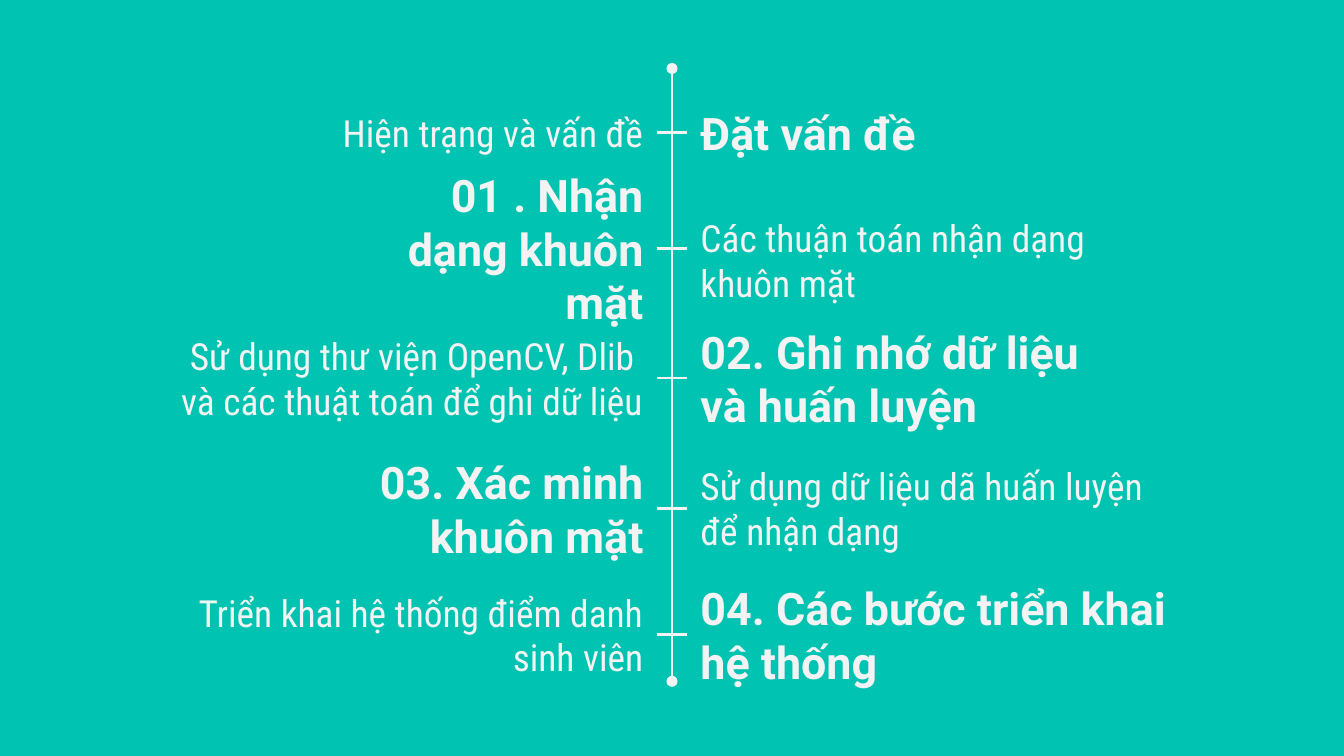
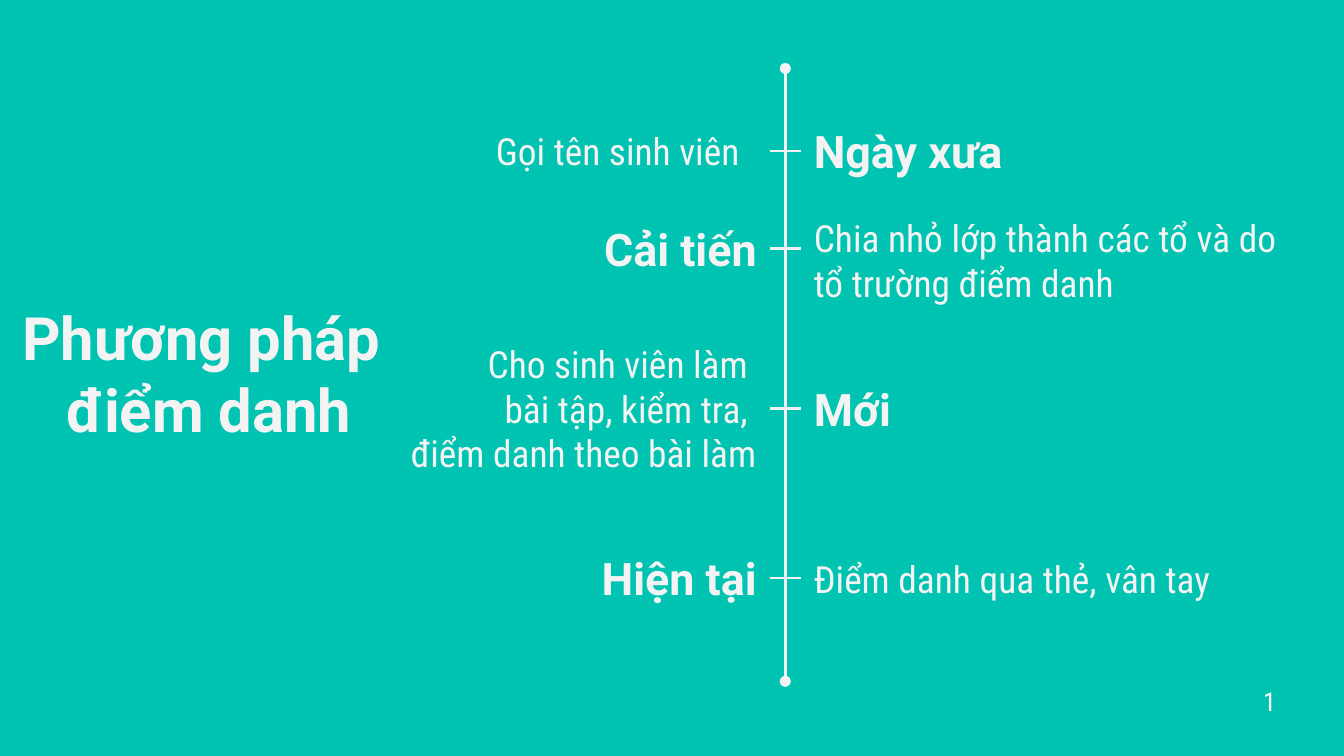
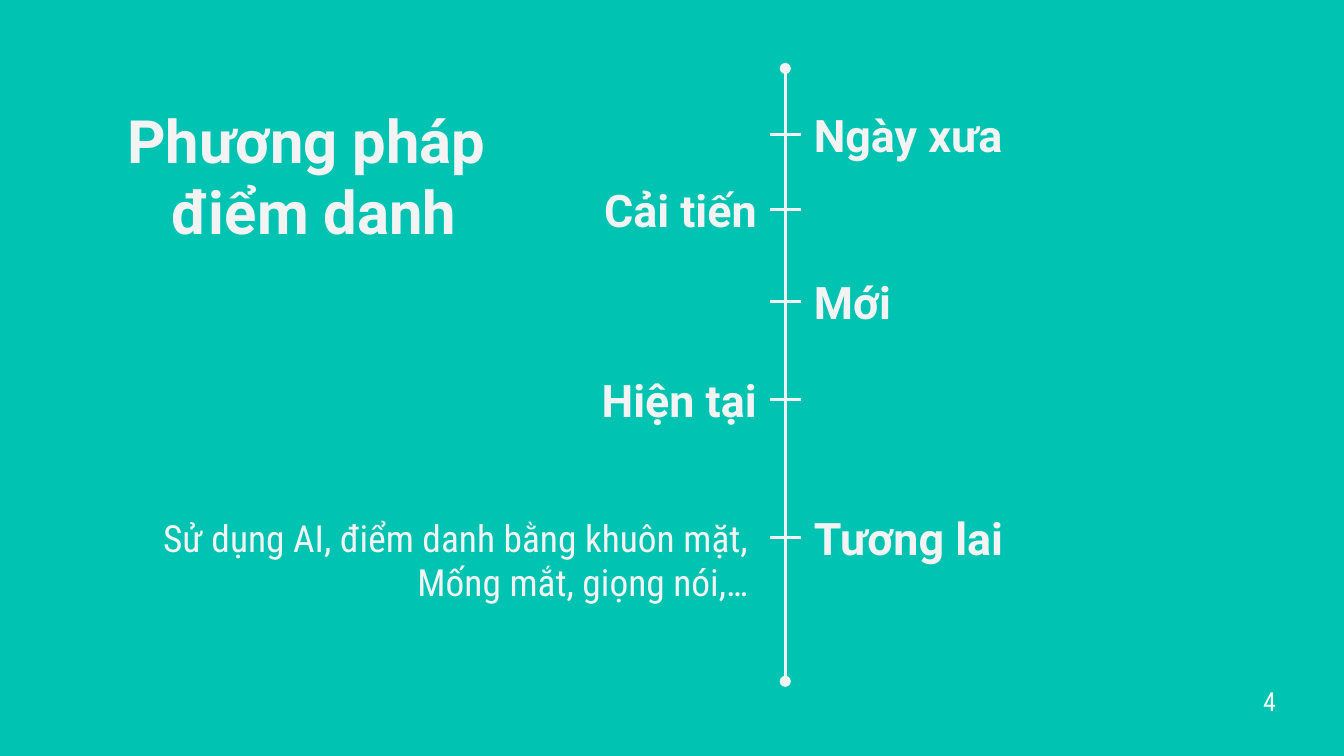
"""Build three timeline slides about taking attendance with face recognition."""
import pptx
import pptx.dml.color
import pptx.enum.shapes
import pptx.enum.text
import pptx.oxml.ns
import pptx.util
from lxml import etree

Pt = pptx.util.Pt
qn = pptx.oxml.ns.qn
ANCHOR = pptx.enum.text.MSO_ANCHOR
ALIGN = pptx.enum.text.PP_ALIGN
LIGHT, TEAL, WHITE = "F3F3F3", "00C3B1", "FFFFFF"
GAP, BOX_H = 8.2, 49.6
TITLE = "Phương pháp \vđiểm danh"


def put_text(sp, text, box, size, bold=False, align=ALIGN.LEFT, anchor=ANCHOR.TOP,
             color=LIGHT, inset=7.2, wrap=True):
    """Place a text shape and format all of its text."""
    sp.left, sp.top, sp.width, sp.height = (Pt(v) for v in box)
    tf = sp.text_frame
    tf.text = text
    tf.word_wrap = wrap
    tf.auto_size = pptx.enum.text.MSO_AUTO_SIZE.NONE
    tf.vertical_anchor = anchor
    tf.margin_left = tf.margin_right = Pt(7.2)
    tf.margin_top = tf.margin_bottom = Pt(inset)
    for p in tf.paragraphs:
        p.alignment = align
        for r in p.runs:
            r.font.name = "Roboto" if bold else "Roboto Condensed"
            r.font.size = Pt(size)
            r.font.bold = bold
            r.font.color.rgb = pptx.dml.color.RGBColor.from_string(color)


def add_line(s, x1, y1, x2, y2, dots=False):
    """Draw a light line, with a dot at each end if asked."""
    kind = pptx.enum.shapes.MSO_CONNECTOR.STRAIGHT
    sp = s.shapes.add_connector(kind, Pt(x1), Pt(y1), Pt(x2), Pt(y2))
    sp.line.width = Pt(1.5)
    sp.line.color.rgb = pptx.dml.color.RGBColor.from_string(LIGHT)
    if dots:
        for end in ("a:headEnd", "a:tailEnd"):
            etree.SubElement(sp.line._get_or_add_ln(), qn(end), type="oval")
    etree.SubElement(sp._element.spPr, qn("a:effectLst"))


# Each row: tick height, heading, heading width, body, body width, body gap.
slides = [
    (360, None, None, [
        (70.8, "Đặt vấn đề", 163, "Hiện trạng và vấn đề", 185, GAP),
        (133, "01 . Nhận dạng khuôn mặt", 163,
         "Các thuận toán nhận dạng khuôn mặt", 263, GAP),
        (202.5, "02. Ghi nhớ dữ liệu\nvà huấn luyện", 272,
         "Sử dụng thư viện OpenCV, Dlib \nvà các thuật toán để ghi dữ liệu", 280, GAP),
        (272.3, "03. Xác minh khuôn mặt", 163,
         "Sử dụng dữ liệu dã huấn luyện để nhận dạng", 272, GAP),
        (340, "04. Các bước triển khai hệ thống", 272,
         "Triển khai hệ thống điểm danh sinh viên", 280, GAP),
    ]),
    (420.7, (-12.2, 154), "1", [
        (80.9, "Ngày xưa", 163, "Gọi tên sinh viên", 163, 17.2),
        (133, "Cải tiến", 163,
         "Chia nhỏ lớp thành các tổ và do tổ trường điểm danh", 263, GAP),
        (218.7, "Mới", 163,
         "Cho sinh viên làm \nbài tập, kiểm tra, \nđiểm danh theo bài làm", 228, GAP),
        (309.7, "Hiện tại", 163, "Điểm danh qua thẻ, vân tay", 272, GAP),
    ]),
    (420.7, (44, 48.2), "4", [
        (72, "Ngày xưa", 163, None, 0, GAP),
        (112.2, "Cải tiến", 163, None, 0, GAP),
        (161.4, "Mới", 163, None, 0, GAP),
        (214, "Hiện tại", 163, None, 0, GAP),
        (287.8, "Tương lai", 163, None, 0, GAP),
    ]),
]

prs = pptx.Presentation()
prs.slide_width, prs.slide_height = Pt(720), Pt(405)
fill = prs.slide_master.background.fill
fill.solid()
fill.fore_color.rgb = pptx.dml.color.RGBColor.from_string(TEAL)

for axis, title_at, number, rows in slides:
    s = prs.slides.add_slide(prs.slide_layouts[5 if title_at else 6])
    if title_at:
        put_text(s.shapes.title, TITLE, (*title_at, 248.4, 97.2), 32, True, ALIGN.CENTER)
    add_line(s, axis, 36.7, axis, 365, dots=True)
    for i, (y, heading, heading_w, body, body_w, body_gap) in enumerate(rows):
        add_line(s, axis - GAP, y, axis + GAP, y)
        heading_right = i % 2 == 0
        for text, w, gap, bold, right in ((heading, heading_w, GAP, True, heading_right),
                                          (body, body_w, body_gap, False, not heading_right)):
            if not text:
                continue
            x = axis + gap if right else axis - gap - w
            anchor = ANCHOR.TOP if i == 1 and not bold else ANCHOR.MIDDLE
            put_text(s.shapes.add_textbox(0, 0, 0, 0), text, (x, y - BOX_H / 2, w, BOX_H),
                     24 if bold else 20, bold, ALIGN.LEFT if right else ALIGN.RIGHT, anchor)
    if number:
        put_text(s.shapes.add_textbox(0, 0, 0, 0), number, (669.6, 363.6, 21, 24.5), 14,
                 color=WHITE, inset=3.6, wrap=False)

put_text(s.shapes.add_textbox(0, 0, 0, 0),
         "Sử dụng AI, điểm danh bằng khuôn mặt,\nMống mắt, giọng nói,…",
         (26.6, 272.2, 381.6, 55.4), 20, align=ALIGN.RIGHT, inset=3.6)

prs.save("out.pptx")
